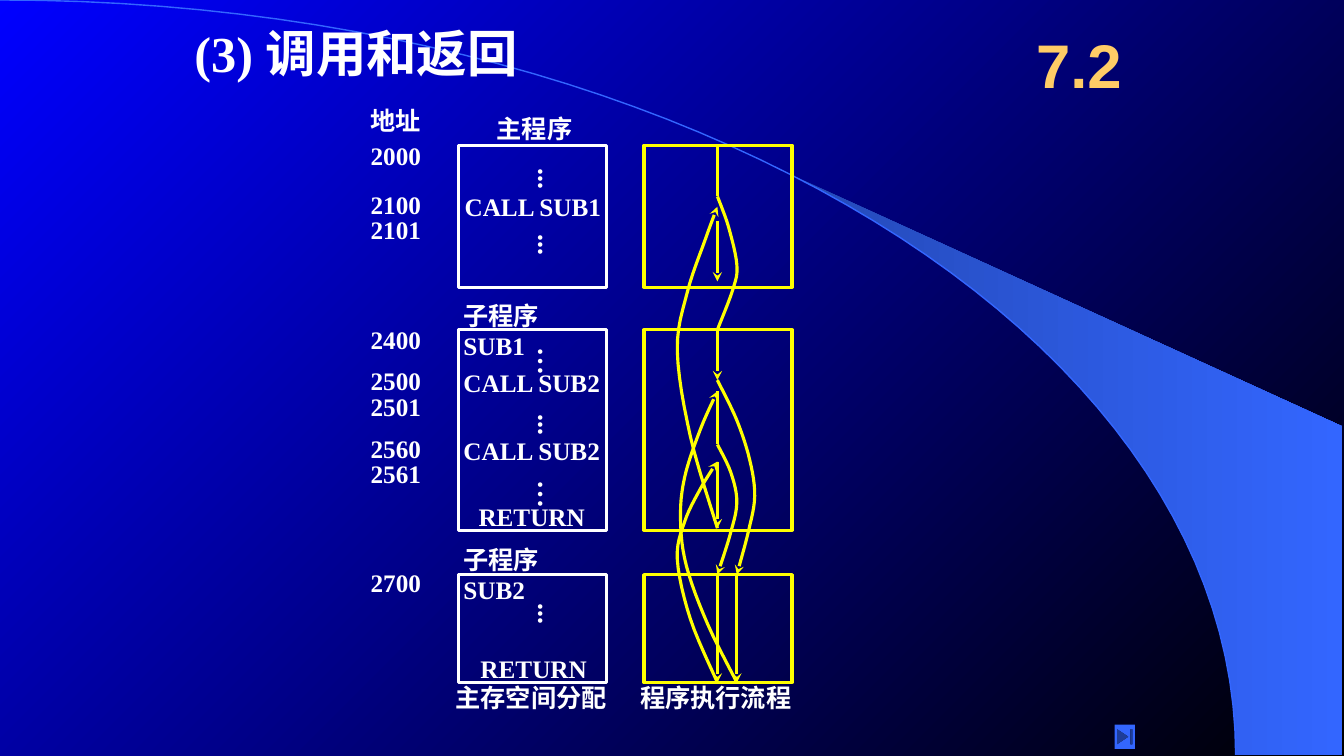
from lxml import etree
from pptx import Presentation
from pptx.dml.color import RGBColor
from pptx.enum.shapes import MSO_CONNECTOR, MSO_SHAPE
from pptx.enum.text import MSO_ANCHOR, MSO_AUTO_SIZE, PP_ALIGN
from pptx.oxml.ns import qn
from pptx.util import Cm, Pt

RECTANGLE = MSO_SHAPE.RECTANGLE
END_BUTTON = MSO_SHAPE.ACTION_BUTTON_END
STRAIGHT = MSO_CONNECTOR.STRAIGHT
MIDDLE = MSO_ANCHOR.MIDDLE
CENTER = PP_ALIGN.CENTER
FIT_SHAPE = MSO_AUTO_SIZE.SHAPE_TO_FIT_TEXT

THEME = {
    "white": "FFFFFF", "yellow": "FFFF00", "gold": "FFCC66",
    "blue": "3366FF", "sweep": "2449B6", "sky": "0000FF", "night": "000000",
    "serif": "Times New Roman", "sans": "Arial",
    "title": 36, "section": 44, "label": 18, "dots": 20,
    "line": 2.25, "thin": 1,
}

# Content; all lengths in centimetres
TITLE = "(3) 调用和返回"
SECTION = "7.2"
ADDRESSES = [
    ("地址", 2.54), ("2000", 3.4), ("2100", 4.65), ("2101", 5.28),
    ("2400", 8.05), ("2500", 9.09), ("2501", 9.73), ("2560", 10.8),
    ("2561", 11.43), ("2700", 14.17),
]
LABELS = [  # text, left, top, width
    ("主程序", 12.27, 2.74, 2.46),
    ("CALL SUB1", 11.46, 4.7, 3.99),
    ("CALL SUB2", 11.43, 9.14, 3.99),
    ("CALL SUB2", 11.43, 10.85, 3.99),
    ("RETURN", 11.81, 12.52, 3.2),
    ("RETURN", 11.86, 16.33, 3.2),
    ("主存空间分配", 11.23, 17.07, 4.39),
    ("程序执行流程", 15.88, 17.07, 4.39),
]
SUBROUTINES = [("子程序SUB1", 7.44), ("子程序SUB2", 13.59)]
DOTS = [("...", 3.99), ("...", 5.66), ("…", 8.51),
        ("...", 10.19), ("…", 11.86), ("...", 14.96)]
BLOCKS = [(3.66, 3.58), (8.31, 5.05), (14.48, 2.72)]  # top, height
BLOCK_WIDTH = 3.73
COLUMNS = [(11.56, "white"), (16.23, "yellow")]

MAIN_X, SECOND_X = 18.08, 18.57
STEPS = [  # x, from, to, arrow
    (MAIN_X, 3.66, 4.95, False), (MAIN_X, 5.56, 7.09, True),
    (MAIN_X, 8.31, 9.58, True), (MAIN_X, 9.86, 11.2, False),
    (MAIN_X, 11.63, 13.31, True), (MAIN_X, 14.48, 17.2, True),
    (SECOND_X, 14.48, 17.2, True),
]
JUMPS = [  # waypoints, arrow
    ([(MAIN_X, 4.95), (18.36, 5.72), (18.57, 6.68), (18.47, 7.29),
      (MAIN_X, 8.31)], False),
    ([(MAIN_X, 9.58), (18.57, 10.59), (18.9, 11.61), (19.02, 12.5),
      (18.87, 13.36), (SECOND_X, 14.48)], True),
    ([(MAIN_X, 11.2), (18.42, 11.91), (18.57, 12.67), (18.39, 13.51),
      (MAIN_X, 14.48)], True),
    ([(SECOND_X, 17.2), (17.83, 15.72), (17.3, 14.27), (17.15, 13.11),
      (17.25, 12.04), (17.65, 10.82), (MAIN_X, 9.86)], True),
    ([(MAIN_X, 17.2), (17.4, 15.6), (17.07, 14.1), (17.25, 13.16),
      (17.65, 12.32), (MAIN_X, 11.63)], True),
    ([(MAIN_X, 13.31), (17.4, 11), (17.07, 8.84), (17.32, 7.37),
      (17.78, 6.02), (MAIN_X, 5.21)], True),
]
ARC = [(0, 0), (17.2, 0), (31.14, 8.51), (31.14, 19.02)]
SWEEP_START = 0.44
SWEEP_CORNERS = [(33.81, 19.02), (33.81, 10.74)]


def color(name):
    return RGBColor.from_string(THEME[name])


def bezier(controls, t):
    weights = ((1 - t) ** 3, 3 * t * (1 - t) ** 2, 3 * t * t * (1 - t), t ** 3)
    return tuple(sum(w * p[axis] for w, p in zip(weights, controls)) for axis in (0, 1))


def arc_from(start, count=50):
    return [bezier(ARC, start + (1 - start) * i / count) for i in range(count + 1)]


def smooth_path(points, count=6):
    padded = [points[0], *points, points[-1]]
    result = [points[0]]
    for before, start, end, after in zip(padded, padded[1:], padded[2:], padded[3:]):
        controls = [start,
                    tuple(s + (e - b) / 6 for b, s, e in zip(before, start, end)),
                    tuple(e - (a - s) / 6 for s, e, a in zip(start, end, after)),
                    end]
        result += [bezier(controls, i / count) for i in range(1, count + 1)]
    return result


def set_gradient(fill, first, last, angle):
    fill.gradient()
    fill.gradient_angle = angle
    for stop, name in zip(fill.gradient_stops, (first, last)):
        stop.color.rgb = color(name)


def set_line(shape, name, width, arrow=False):
    shape.line.color.rgb = color(name)
    shape.line.width = Pt(THEME[width])
    if arrow:
        line = shape.element.spPr.find(qn("a:ln"))
        etree.SubElement(line, qn("a:tailEnd"), type="stealth")


def add_outline(points, closed=False):
    vertices = [(Cm(x), Cm(y)) for x, y in points]
    builder = slide.shapes.build_freeform(*vertices[0])
    builder.add_line_segments(vertices[1:], close=closed)
    shape = builder.convert_to_shape()
    shape.shadow.inherit = False
    shape.fill.background()
    return shape


def add_text(text, left, top, width, height=1.02, size="label",
             font="serif", name="white", wrap=False):
    box = slide.shapes.add_textbox(Cm(left), Cm(top), Cm(width), Cm(height))
    frame = box.text_frame
    frame.text = text
    frame.word_wrap = wrap
    frame.auto_size = FIT_SHAPE
    run_font = frame.paragraphs[0].runs[0].font
    run_font.name = THEME[font]
    run_font.size = Pt(THEME[size])
    run_font.bold = True
    run_font.color.rgb = color(name)
    return frame


presentation = Presentation()
presentation.slide_width, presentation.slide_height = Cm(33.87), Cm(19.05)
slide = presentation.slides.add_slide(presentation.slide_layouts[6])

# Background with sweep and arc
set_gradient(slide.background.fill, "sky", "night", 315)
sweep = add_outline(arc_from(SWEEP_START) + SWEEP_CORNERS, closed=True)
set_gradient(sweep.fill, "sweep", "blue", 0)
sweep.line.fill.background()
set_line(add_outline(arc_from(0)), "blue", "thin")

# Headings
add_text(TITLE, 4.65, 0.43, 14.48, 1.78, size="title", wrap=True)
section = add_text(SECTION, 25.6, 0.43, 3.18, 2.34, "section", "sans", "gold", True)
section.auto_size = MSO_AUTO_SIZE.NONE
section.vertical_anchor = MIDDLE
section.paragraphs[0].alignment = CENTER

# Memory and flow blocks
for left, name in COLUMNS:
    for top, height in BLOCKS:
        block = slide.shapes.add_shape(
            RECTANGLE, Cm(left), Cm(top), Cm(BLOCK_WIDTH), Cm(height))
        block.shadow.inherit = False
        block.fill.background()
        set_line(block, name, "line")

# Addresses, code and captions
for text, top in ADDRESSES:
    add_text(text, 9.09, top, 1.78)
for label in LABELS:
    add_text(*label)
for text, top in SUBROUTINES:
    add_text(text, 11.43, top, 3.99, wrap=True).margin_right = Cm(1)
for text, top in DOTS:
    dots = add_text(text, 13.03, top, 1.37, 0.97 if text == "…" else 0.79, "dots")
    dots._txBody.bodyPr.set("vert", "eaVert")

# Execution flow
for x, start, end, arrow in STEPS:
    step = slide.shapes.add_connector(STRAIGHT, Cm(x), Cm(start), Cm(x), Cm(end))
    set_line(step, "yellow", "line", arrow)
    etree.SubElement(step.element.spPr, qn("a:effectLst"))
for points, arrow in JUMPS:
    set_line(add_outline(smooth_path(points)), "yellow", "line", arrow)

# Navigation button
button = slide.shapes.add_shape(END_BUTTON, Cm(28.09), Cm(18.26), Cm(0.51), Cm(0.61))
button.shadow.inherit = False
button.fill.solid()
button.fill.fore_color.rgb = color("blue")
button.line.fill.background()

presentation.save("out.pptx")
